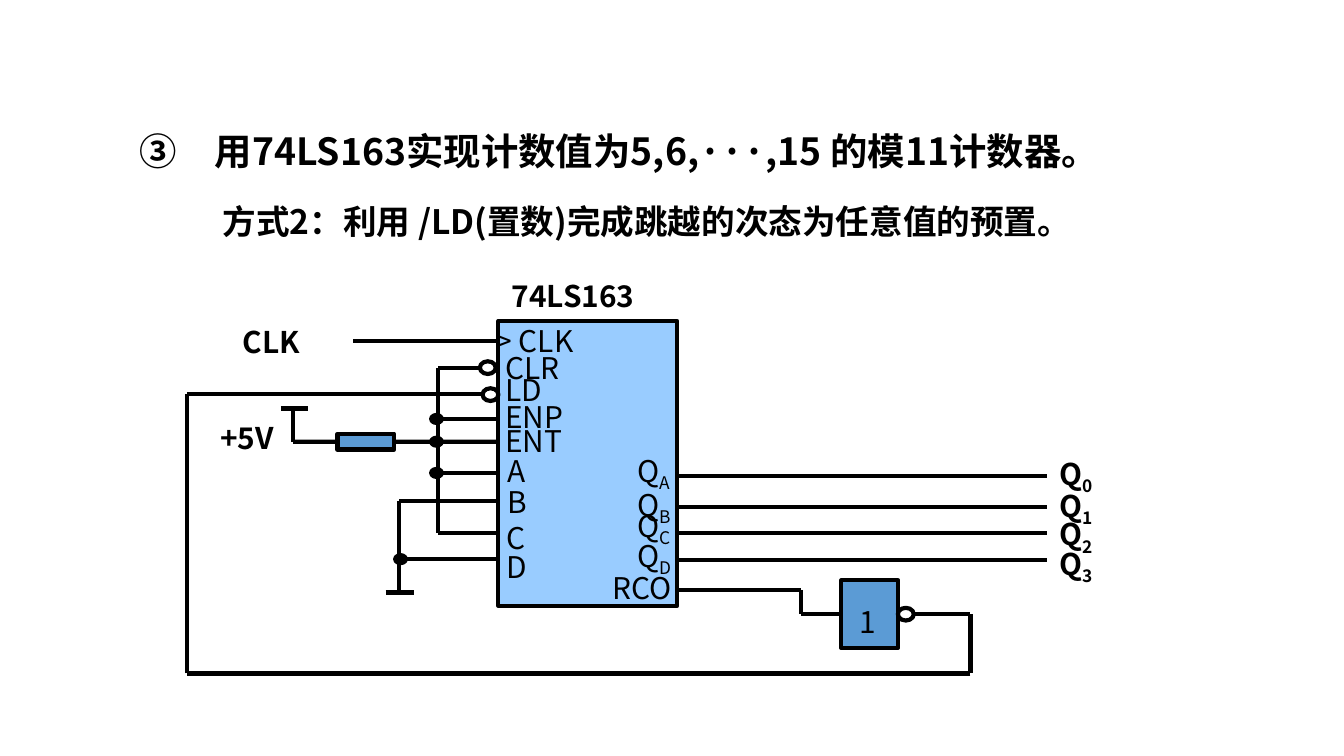
from itertools import pairwise

from lxml import etree
from pptx import Presentation, util as u
from pptx.dml.color import RGBColor
from pptx.enum import shapes, text
from pptx.oxml.ns import qn

BLACK = RGBColor(0x00, 0x00, 0x00)
SKY = RGBColor(0x99, 0xCC, 0xFF)
BLUE = RGBColor(0x5B, 0x9B, 0xD5)
SANS = "Noto Sans CJK SC"
HEAD = "Noto Sans CJK JP"

CHIP_X, CHIP_Y, CHIP_W, CHIP_H = 9.42, 6.07, 3.38, 5.38
CHIP_END = CHIP_X + CHIP_W
RAIL, GROUND, LOOP, OUT = 8.28, 7.54, 3.53, 19.79
PULL_Y, GATE_Y = 8.35, 11.61

INPUTS = [
    ("> CLK", 9.12, 5.97), ("CLR", 9.3, 6.48), ("LD", 9.3, 6.91),
    ("ENP", 9.3, 7.42), ("ENT", 9.3, 7.87), ("A", 9.35, 8.43),
    ("B", 9.35, 9.02), ("C", 9.32, 9.7), ("D", 9.32, 10.24),
]
OUTPUTS = [
    ("A", 8.43, "0", 8.48, 8.99), ("B", 9.07, "1", 9.09, 9.58),
    ("C", 9.47, "2", 9.63, 10.08), ("D", 10.03, "3", 10.19, 10.59),
]


def add_run(para, words, size, font, bold, sub=False):
    run = para.add_run()
    run.text = words
    run.font.size = u.Pt(size)
    run.font.name = font
    run.font.bold = bold
    run.font.color.rgb = BLACK
    props = run._r.get_or_add_rPr()
    etree.SubElement(props, qn("a:ea")).set("typeface", font)
    if sub:
        props.set("baseline", "-25000")


def add_label(slide, words, x, y, wide=1.83, sub="", bold=False,
              size=16, font=SANS, high=0.94):
    box = slide.shapes.add_textbox(u.Cm(x), u.Cm(y), u.Cm(wide), u.Cm(high))
    frame = box.text_frame
    frame.word_wrap = True
    frame.vertical_anchor = text.MSO_ANCHOR.TOP
    para = frame.paragraphs[0]
    add_run(para, words, size, font, bold)
    if sub:
        add_run(para, sub, size, font, bold, sub=True)
    return para


def add_title(slide):
    para = add_label(slide, "用74LS163实现计数值为5,6,···,15 的模11计数器。",
                     2.39, 2.39, 23.9, bold=True, size=20, font=HEAD, high=2.06)
    props = para._p.get_or_add_pPr()
    props.set("marL", str(u.Cm(1.42)))
    props.set("indent", str(u.Cm(-1.42)))
    mark = etree.SubElement(props, qn("a:buAutoNum"))
    mark.set("type", "circleNumDbPlain")
    mark.set("startAt", "3")
    para.line_spacing = 0.9


def add_part(slide, kind, x, y, wide, high, fill=None):
    part = slide.shapes.add_shape(kind, u.Cm(x), u.Cm(y), u.Cm(wide), u.Cm(high))
    part.shadow.inherit = False
    if fill is None:
        part.fill.background()
    else:
        part.fill.solid()
        part.fill.fore_color.rgb = fill
    part.line.color.rgb = BLACK
    part.line.width = u.Pt(2.25)
    return part


def add_block(slide, *place, fill):
    return add_part(slide, shapes.MSO_SHAPE.RECTANGLE, *place, fill=fill)


def add_oval(slide, x, y, wide, high, fill=None):
    add_part(slide, shapes.MSO_SHAPE.OVAL, x - wide / 2, y - high / 2,
             wide, high, fill)


def add_wire(slide, *points):
    lines = []
    for (x1, y1), (x2, y2) in pairwise(points):
        line = slide.shapes.add_connector(
            shapes.MSO_CONNECTOR.STRAIGHT,
            u.Cm(x1), u.Cm(y1), u.Cm(x2), u.Cm(y2))
        line.line.color.rgb = BLACK
        line.line.width = u.Pt(2.25)
        etree.SubElement(line._element.spPr, qn("a:effectLst"))
        lines.append(line)
    return lines


def add_chip(slide):
    add_block(slide, CHIP_X, CHIP_Y, CHIP_W, CHIP_H, fill=SKY)
    add_label(slide, "74LS163", 9.42, 5.13, 3.61, bold=True)
    for name, x, y in INPUTS:
        add_label(slide, name, x, y, 2.74 if ">" in name else 1.83)
    for pin, pin_y, bit, bit_y, wire_y in OUTPUTS:
        add_label(slide, "Q", 11.79, pin_y, sub=pin)
        add_label(slide, "Q", 19.78, bit_y, 1.9, sub=bit, bold=True)
        add_wire(slide, (CHIP_END, wire_y), (OUT, wire_y))
    add_label(slide, "RCO", 11.33, 10.64)


def add_feeds(slide):
    add_label(slide, "CLK", 4.34, 5.99, 2.11, bold=True)
    add_wire(slide, (6.68, 6.45), (CHIP_X, 6.45))
    add_wire(slide, (9.09, 6.96), (RAIL, 6.96), (RAIL, 10.08), (CHIP_X, 10.08))

    add_label(slide, "+5V", 3.91, 7.8, 2.11, bold=True)
    load = add_block(slide, 6.38, 8.2, 1.07, 0.3, fill=BLUE)
    add_wire(slide, (5.31, 7.72), (5.82, 7.72))
    supply = add_wire(slide, (5.54, 7.72), (5.54, PULL_Y), (6.38, PULL_Y))
    supply[-1].end_connect(load, 1)
    pull = add_wire(slide, (7.45, PULL_Y), (CHIP_X, PULL_Y))
    pull[0].begin_connect(load, 3)

    add_wire(slide, (CHIP_X, 9.47), (GROUND, 9.47), (GROUND, 11.2))
    add_wire(slide, (7.29, 11.2), (7.82, 11.2))
    for x, y in [(RAIL, 7.92), (RAIL, 8.94), (GROUND, 10.57)]:
        add_wire(slide, (x, y), (CHIP_X, y))
    for x, y in [(8.25, 7.92), (8.25, PULL_Y), (8.25, 8.94), (7.57, 10.57)]:
        add_oval(slide, x, y, 0.2, 0.15, BLACK)


def add_loop(slide):
    gate = add_block(slide, 15.9, 10.97, 1.07, 1.28, fill=BLUE)
    add_label(slide, "1", 16, 11.28, 1.07)
    carry = add_wire(slide, (CHIP_END, 11.15), (15.14, 11.15),
                     (15.14, GATE_Y), (15.9, GATE_Y))
    carry[-1].end_connect(gate, 1)
    add_wire(slide, (17.3, GATE_Y), (18.34, GATE_Y), (18.34, 12.73),
             (LOOP, 12.73), (LOOP, 7.44), (9.14, 7.44))
    for x, y in [(9.22, 6.95), (9.27, 7.46), (17.12, GATE_Y)]:
        add_oval(slide, x, y, 0.3, 0.24)


def main():
    deck = Presentation()
    deck.slide_width = u.Cm(25.4)
    deck.slide_height = u.Cm(14.29)
    slide = deck.slides.add_slide(deck.slide_layouts[6])
    add_title(slide)
    add_label(slide, "方式2：利用 /LD(置数)完成跳越的次态为任意值的预置。",
              3.96, 3.68, 23.93, bold=True, size=18, font=HEAD, high=1.02)
    add_chip(slide)
    add_feeds(slide)
    add_loop(slide)
    deck.save("out.pptx")


if __name__ == "__main__":
    main()
